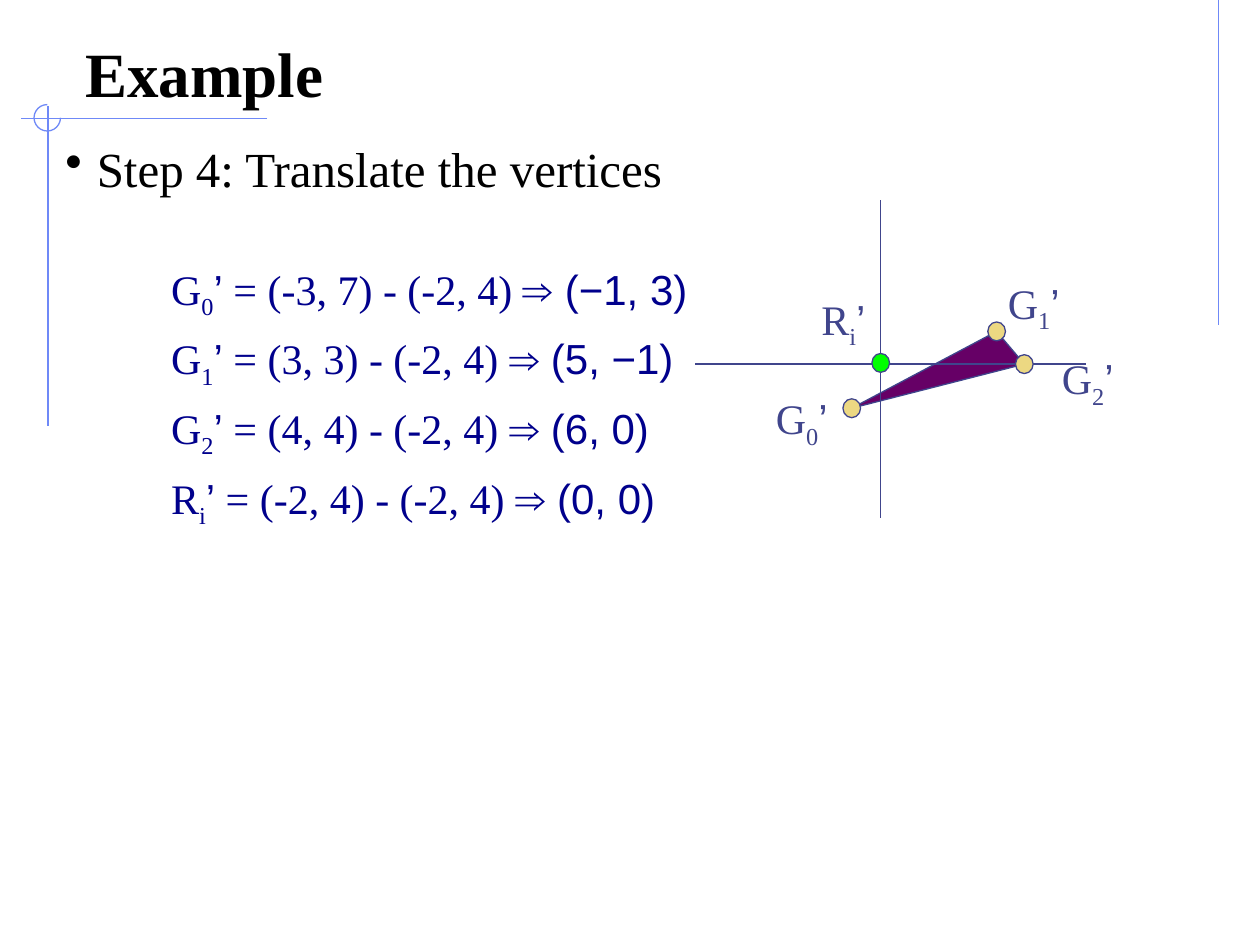
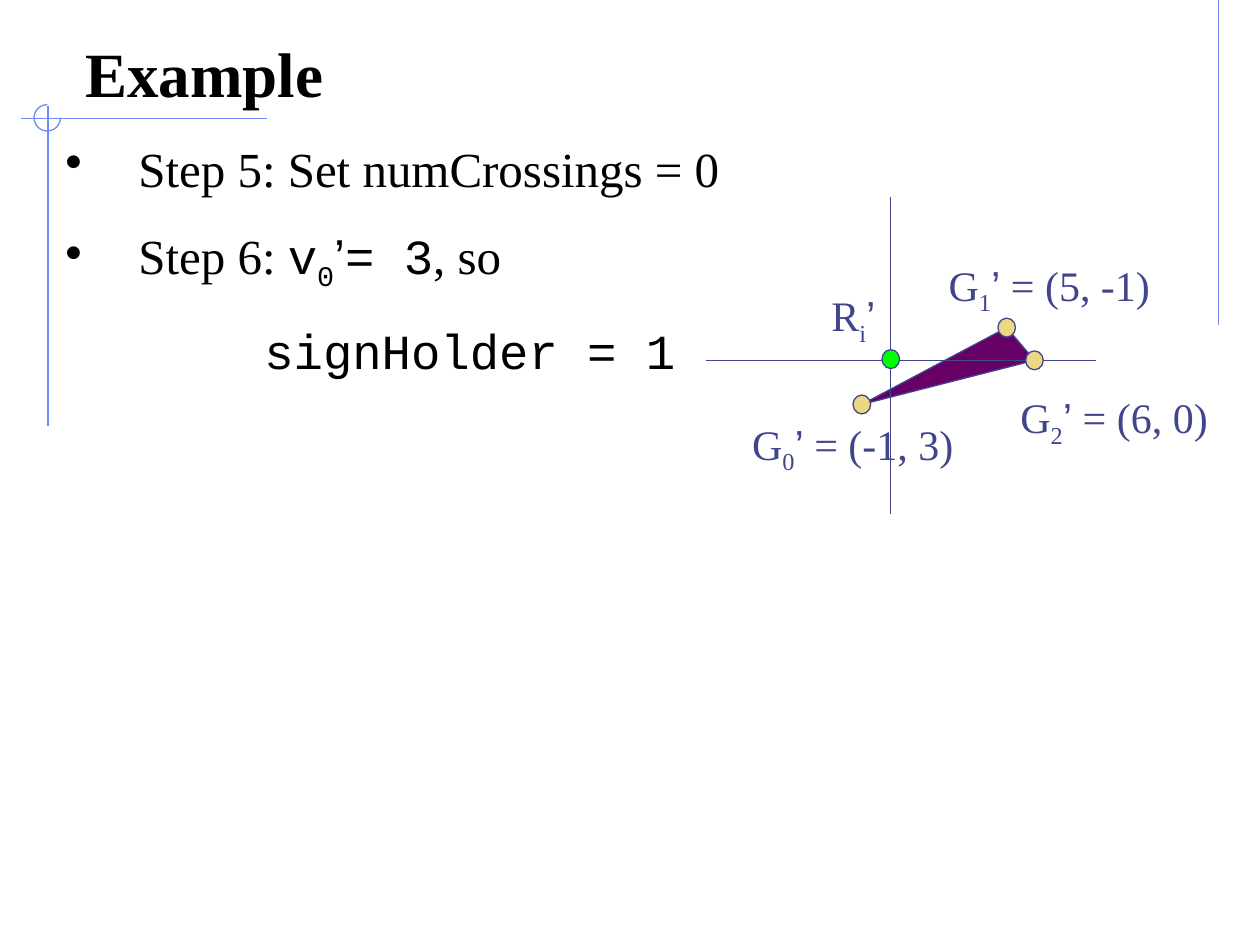
from dataclasses import dataclass

from lxml import etree
from pptx import Presentation
from pptx.dml.color import RGBColor
from pptx.enum.shapes import MSO_CONNECTOR, MSO_SHAPE
from pptx.enum.text import MSO_ANCHOR, MSO_AUTO_SIZE
from pptx.oxml.ns import qn
from pptx.util import Inches, Pt

STRAIGHT = MSO_CONNECTOR.STRAIGHT
OVAL, ARC = MSO_SHAPE.OVAL, MSO_SHAPE.ARC
TOP, BOTTOM = MSO_ANCHOR.TOP, MSO_ANCHOR.BOTTOM
FIT, FIXED = MSO_AUTO_SIZE.SHAPE_TO_FIT_TEXT, MSO_AUTO_SIZE.NONE

WIDTH, HEIGHT = Inches(10), Inches(7.5)
COLS, ROWS = 10, 7.5


@dataclass(frozen=True)
class Theme:
    ink: str = "000000"
    frame: str = "6F89F7"
    diagram: str = "40458C"
    formula: str = "00008C"
    triangle: str = "660066"
    vertex: str = "ECD882"
    origin: str = "00FF00"
    serif: str = "Times New Roman"
    sans: str = "Arial"
    mono: str = "Courier New"
    title: int = 36
    body: int = 28
    label: int = 24
    line: float = 0.75


THEME = Theme()
SERIF, SANS, MONO = THEME.serif, THEME.sans, THEME.mono

VERTICES = [(-0.23, 0.35), (0.92, -0.26), (1.14, 0)]
DOT_W, DOT_H = 0.14, 0.15


def primed(letter, index, font=SERIF):
    return [(letter, font, False), (index, font, True), ("’", SANS, False)]


def plain(text, font=SERIF):
    return [(text, font, False)]


class Deck:
    def __init__(self, theme):
        self.theme = theme
        self.prs = Presentation()
        self.prs.slide_width, self.prs.slide_height = WIDTH, HEIGHT
        self.slide = None

    def x(self, cols):
        return round(WIDTH * cols / COLS)

    def y(self, rows):
        return round(HEIGHT * rows / ROWS)

    def box(self, left, top, width, height):
        return self.x(left), self.y(top), self.x(width), self.y(height)

    def stroke(self, sp, color):
        sp.line.color.rgb = RGBColor.from_string(color)
        sp.line.width = Pt(self.theme.line)

    def paint(self, sp, fill, line):
        sp.shadow.inherit = False
        if fill:
            sp.fill.solid()
            sp.fill.fore_color.rgb = RGBColor.from_string(fill)
        else:
            sp.fill.background()
        self.stroke(sp, line)

    def line(self, x1, y1, x2, y2, color):
        sp = self.slide.shapes.add_connector(
            STRAIGHT, self.x(x1), self.y(y1), self.x(x2), self.y(y2))
        self.stroke(sp, color)
        etree.SubElement(sp._element.spPr, qn("a:effectLst"))

    def shape(self, kind, place, fill, line):
        sp = self.slide.shapes.add_shape(kind, *self.box(*place))
        self.paint(sp, fill, line)
        return sp

    def dot(self, x, y, fill):
        place = (x - DOT_W / 2, y - DOT_H / 2, DOT_W, DOT_H)
        self.shape(OVAL, place, fill, self.theme.diagram)

    def polygon(self, points, fill, line):
        start, *rest = [(self.x(x), self.y(y)) for x, y in points]
        builder = self.slide.shapes.build_freeform(*start)
        builder.add_line_segments(rest, close=True)
        self.paint(builder.convert_to_shape(), fill, line)

    def text_box(self, place, anchor=TOP, fit=False, inset=0.05):
        tf = self.slide.shapes.add_textbox(*self.box(*place)).text_frame
        tf.word_wrap = not fit
        tf.auto_size = FIT if fit else FIXED
        tf.vertical_anchor = anchor
        tf.margin_top = self.y(inset)
        return tf

    def paragraph(self, tf, runs, size, color, first=True, before=0,
                  left=0, bullet=False, bold=False):
        p = tf.paragraphs[0] if first else tf.add_paragraph()
        pPr = p._p.get_or_add_pPr()
        pPr.set("marL", str(self.x(left)))
        pPr.set("indent", str(-self.x(left) if bullet else 0))
        if bullet:
            tint = etree.SubElement(pPr, qn("a:buClr"))
            etree.SubElement(tint, qn("a:srgbClr"), val=self.theme.ink)
            etree.SubElement(pPr, qn("a:buChar"), char="•")
        p.space_before = Pt(0 if first else before)
        for text, font, subscript in runs:
            r = p.add_run()
            r.text = text
            r.font.name = font
            r.font.size = Pt(size)
            r.font.bold = bold
            r.font.color.rgb = RGBColor.from_string(color)
            if subscript:
                r._r.get_or_add_rPr().set("baseline", "-25000")

    def frame(self):
        color = self.theme.frame
        self.line(9.67, 0, 9.67, 2.58, color)
        self.line(2.12, 0.94, 0.17, 0.94, color)
        self.line(0.38, 0.84, 0.38, 3.38, color)
        arc = self.shape(ARC, (0.27, 0.83, 0.21, 0.21), None, color)
        arc.adjustments[0], arc.adjustments[1] = 0, 162

    def new_slide(self, title):
        self.slide = self.prs.slides.add_slide(self.prs.slide_layouts[6])
        self.frame()
        tf = self.text_box((0.58, 0.25, 8.83, 0.67), BOTTOM)
        self.paragraph(tf, plain(title), self.theme.title, self.theme.ink,
                       bold=True)

    def body(self, items):
        tf = self.text_box((0.42, 1, 9.17, 6.17), inset=0.1)
        for i, (runs, left, bullet) in enumerate(items):
            self.paragraph(tf, runs, self.theme.body, self.theme.ink,
                           i == 0, 16, left, bullet)

    def formulas(self, place, rows):
        tf = self.text_box(place, fit=True, inset=0.08)
        for i, runs in enumerate(rows):
            self.paragraph(tf, runs, self.theme.label, self.theme.formula,
                           i == 0, 7, 0.5)

    def label(self, place, runs):
        tf = self.text_box(place, fit=True)
        self.paragraph(tf, runs, self.theme.label, self.theme.diagram)

    def diagram(self, x, y, labels):
        t = self.theme
        points = [(x + dx, y + dy) for dx, dy in VERTICES]
        self.polygon(points, t.triangle, t.diagram)
        self.line(x, y - 1.3, x, y + 1.22, t.diagram)
        self.line(x - 1.47, y, x + 1.63, y, t.diagram)
        for point in points:
            self.dot(*point, t.vertex)
        self.dot(x, y - 0.01, t.origin)
        for index, (left, top, width, value) in enumerate(labels):
            runs = primed("G", str(index)) + (plain(value) if value else [])
            self.label((left, top, width, 0.5), runs)
        self.label((x - 0.57, y - 0.61, 0.6, 0.5), primed("R", "i"))


def translate_slide(deck):
    deck.new_slide("Example")
    deck.body([(plain("Step 4: Translate the vertices"), 0.25, True)])
    deck.diagram(6.99, 2.89, [
        (6.06, 3.07, 0.66, ""),
        (7.9, 2.15, 0.66, ""),
        (8.33, 2.75, 0.66, ""),
    ])
    steps = [
        ("G", "0", "(-3, 7)", "(−1, 3)"),
        ("G", "1", "(3, 3)", "(5, −1)"),
        ("G", "2", "(4, 4)", "(6, 0)"),
        ("R", "i", "(-2, 4)", "(0, 0)"),
    ]
    deck.formulas((0.76, 2.01, 4.86, 3), [
        primed(letter, index) + plain(f" = {start} - (-2, 4) ")
        + plain(f"⇒ {end}", SANS)
        for letter, index, start, end in steps
    ])


def sign_slide(deck):
    deck.new_slide("Example")
    sign = (plain("Step 6: ") + primed("v", "0", MONO)
            + plain("= 3", MONO) + plain(", so"))
    deck.body([
        (plain("Step 5: Set numCrossings = 0"), 0.58, True),
        (sign, 0.58, True),
        (plain("signHolder = 1", MONO), 1.58, False),
    ])
    deck.diagram(7.07, 2.86, [
        (5.87, 3.27, 1.85, " = (-1, 3)"),
        (7.43, 2.01, 1.85, " = (5, -1)"),
        (8, 3.06, 1.74, " = (6, 0)"),
    ])


def main():
    deck = Deck(THEME)
    translate_slide(deck)
    sign_slide(deck)
    deck.prs.save("out.pptx")


if __name__ == "__main__":
    main()
